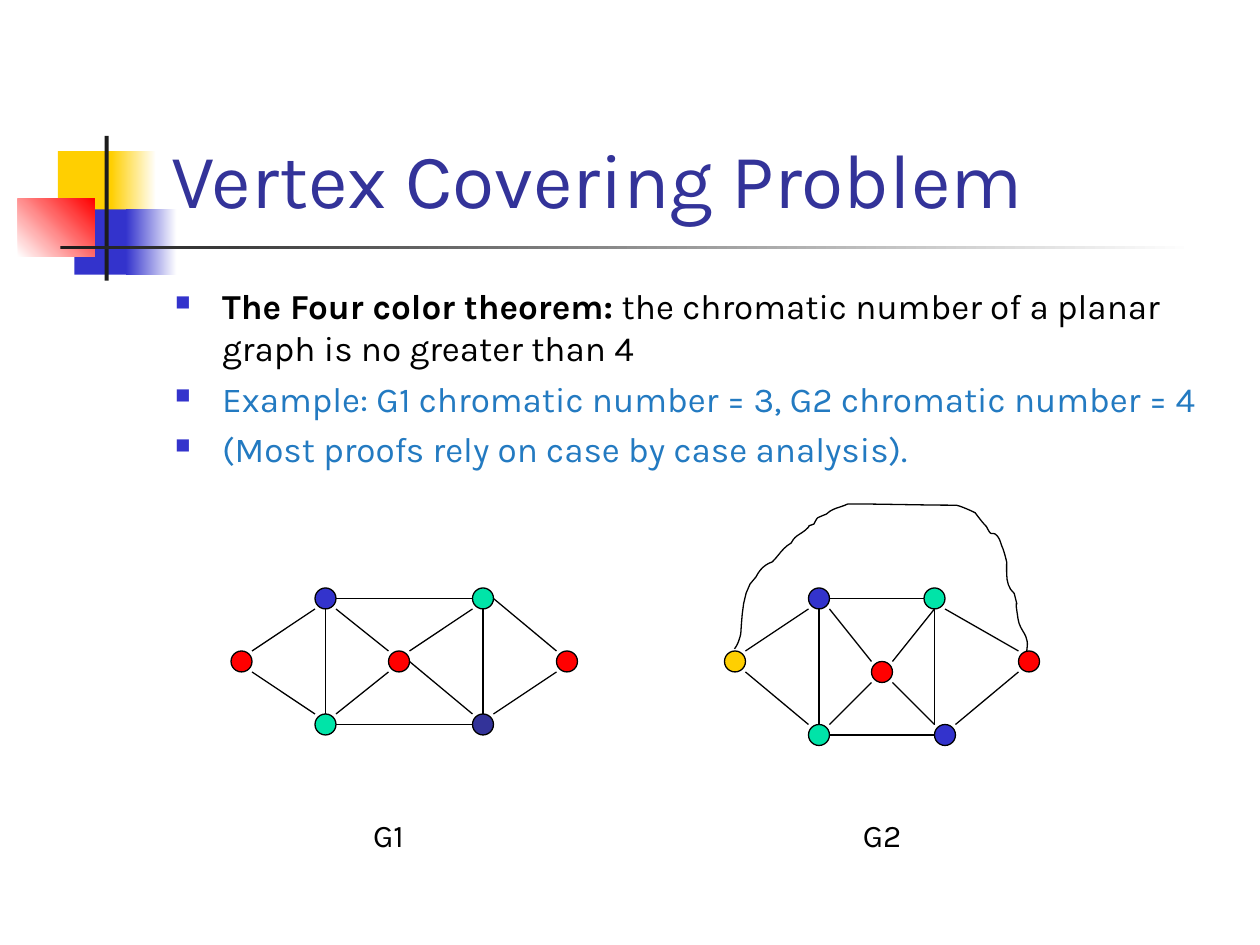
import pptx
import pptx.util
import pptx.dml.color
import pptx.enum.shapes
import pptx.enum.text
import pptx.oxml.ns
from lxml import etree

Cm, Pt = pptx.util.Cm, pptx.util.Pt
SHAPE = pptx.enum.shapes.MSO_SHAPE
ANCHOR = pptx.enum.text.MSO_ANCHOR
ALIGN = pptx.enum.text.PP_ALIGN

# ---- Content ----
FONT = "Karla"
COLORS = {"yellow": "FFCF01", "blue": "3333CC", "navy": "333399", "red": "FF0000",
          "green": "00E4A8", "ink": "1C1C1C", "black": "000000", "white": "FFFFFF",
          "sky": "237AC1"}

TITLE = "Vertex Covering Problem"
BULLETS = [
    [("The Four color theorem:", "black", True),
     (" the chromatic number of a planar graph is no greater than 4", "black", False)],
    [("Example: G1 chromatic number = 3, G2 chromatic number = 4", "sky", False)],
    [("(Most proofs rely on case by case analysis).", "sky", False)],
]

# Left, top, width, height in cm; colour(s); gradient angle
ORNAMENTS = [
    ((1.17, 3.05, 1.22, 1.32), ["yellow"], 0),
    ((2.24, 3.05, 0.91, 1.32), ["yellow", "white"], 0),
    ((1.5, 4.22, 1.17, 1.32), ["blue"], 0),
    ((2.54, 4.22, 1.02, 1.32), ["blue", "white"], 0),
    ((0.36, 4.01, 1.55, 1.17), ["white", "red"], 45),
    ((2.11, 2.74, 0.08, 2.92), ["ink"], 0),
    ((1.22, 4.95, 22.86, 0.08), ["ink", "white"], 0),
]

# Nodes: column, row and colour on a grid; edges: node and side at each end
GRID = 2.54 / 12
NODE = 2
SIDES = {"nw": (0, 0), "n": (1, 0), "ne": (2, 0), "w": (0, 1), "e": (2, 1),
         "sw": (0, 2), "s": (1, 2), "se": (2, 2)}
SHARED_EDGES = ["a.se m.nw", "c.ne m.sw", "a.s c.n", "a.e b.w", "c.e d.w",
                "l.ne a.sw", "l.se c.nw", "d.ne r.sw"]
GRAPHS = [
    {"label": "G1", "label_col": 35,
     "nodes": {"a": (30, 56, "blue"), "b": (45, 56, "green"), "c": (30, 68, "green"),
               "d": (45, 68, "navy"), "l": (22, 62, "red"), "r": (53, 62, "red"),
               "m": (37, 62, "red")},
     "edges": ["m.ne b.sw", "m.e d.nw", "b.s d.n", "b.e r.nw"]},
    {"label": "G2", "label_col": 82,
     "nodes": {"a": (77, 56, "blue"), "b": (88, 56, "green"), "c": (77, 69, "green"),
               "d": (89, 69, "blue"), "l": (69, 62, "yellow"), "r": (97, 62, "red"),
               "m": (83, 63, "red")},
     "edges": ["m.ne b.s", "m.se d.nw", "b.s d.nw", "b.se r.nw"]},
]

# Hand-drawn outer edge of G2 in inches: start, then two controls and an end per curve
ARC = [
    (5.83, 5.15),
    (5.86, 5.11), (5.87, 5.07), (5.88, 5.03), (5.89, 4.9), (5.89, 4.67), (6, 4.58),
    (6.03, 4.52), (6.07, 4.48), (6.13, 4.46), (6.19, 4.4), (6.21, 4.35), (6.28, 4.31),
    (6.31, 4.25), (6.34, 4.25), (6.39, 4.21), (6.46, 4.15), (6.38, 4.19), (6.46, 4.16),
    (6.47, 4.14), (6.48, 4.12), (6.49, 4.11), (6.51, 4.1), (6.56, 4.08), (6.56, 4.08),
    (6.61, 4.03), (6.67, 4.03), (6.73, 4), (7.01, 4), (7.3, 4.01), (7.59, 4.01),
    (7.64, 4.02), (7.74, 4.07), (7.74, 4.07), (7.77, 4.11), (7.8, 4.15), (7.83, 4.18),
    (7.84, 4.2), (7.85, 4.22), (7.86, 4.23), (7.87, 4.24), (7.89, 4.23), (7.9, 4.24),
    (7.93, 4.26), (7.94, 4.3), (7.95, 4.33), (7.97, 4.37), (7.99, 4.46), (7.99, 4.46),
    (7.99, 4.56), (7.98, 4.65), (8.05, 4.71), (8.1, 4.91), (8.04, 4.66), (8.08, 4.91),
    (8.09, 4.99), (8.14, 5.02), (8.15, 5.08), (8.16, 5.11), (8.15, 5.14), (8.15, 5.17),
]
ARC_STEPS = 6


# ---- Helpers ----
def rgb(name):
    return pptx.dml.color.RGBColor.from_string(COLORS[name])


def set_line(s, color="black"):
    s.line.color.rgb = rgb(color)
    s.line.width = Pt(0.75)


def add_shape(kind, box, colors, line=None, angle=0):
    s = slide.shapes.add_shape(kind, *[Cm(v) for v in box])
    s.shadow.inherit = False
    if len(colors) == 1:
        s.fill.solid()
        s.fill.fore_color.rgb = rgb(colors[0])
    else:
        s.fill.gradient()
        s.fill.gradient_angle = angle
        for stop, color in zip(s.fill.gradient_stops, colors):
            stop.color.rgb = rgb(color)
    if line:
        set_line(s, line)
    else:
        s.line.fill.background()
    return s


def add_run(p, text, size, color, bold=False):
    r = p.add_run()
    r.text = text
    for key, value in {"name": FONT, "size": Pt(size), "bold": bold}.items():
        setattr(r.font, key, value)
    r.font.color.rgb = rgb(color)


def add_text_box(box, anchor):
    tf = slide.shapes.add_textbox(*[Cm(v) for v in box]).text_frame
    for key, value in {"word_wrap": True, "vertical_anchor": anchor}.items():
        setattr(tf, key, value)
    return tf


def add_bullet(p):
    pPr = p._p.get_or_add_pPr()
    pPr.set("marL", str(Cm(0.95)))
    pPr.set("indent", str(Cm(-0.95)))
    qn = pptx.oxml.ns.qn
    color = etree.SubElement(pPr, qn("a:buClr"))
    etree.SubElement(color, qn("a:srgbClr"), val=COLORS["blue"])
    etree.SubElement(pPr, qn("a:buSzPct"), val="60000")
    etree.SubElement(pPr, qn("a:buChar"), char="■")


def edge_end(nodes, end):
    name, side = end.split(".")
    return [Cm((start + offset) * GRID) for start, offset in zip(nodes[name], SIDES[side])]


def curve_point(points, t):
    weights = [(1 - t) ** 3, 3 * t * (1 - t) ** 2, 3 * t * t * (1 - t), t ** 3]
    return tuple(Cm(2.54 * sum(w * v for w, v in zip(weights, axis))) for axis in zip(*points))


prs = pptx.Presentation()
prs.slide_width, prs.slide_height = Cm(25.4), Cm(19.05)
slide = prs.slides.add_slide(prs.slide_layouts[6])

# ---- Ornament and rule ----
for box, colors, angle in ORNAMENTS:
    add_shape(SHAPE.RECTANGLE, box, colors, angle=angle)

# ---- Title and bullets ----
tf = add_text_box((3.2, 0.58, 21.64, 4.06), ANCHOR.BOTTOM)
add_run(tf.paragraphs[0], TITLE, 44, "navy")

tf = add_text_box((3.28, 5.61, 21.59, 11.43), ANCHOR.TOP)
for i, runs in enumerate(BULLETS):
    p = tf.add_paragraph() if i else tf.paragraphs[0]
    add_bullet(p)
    if i:
        p.space_before = Pt(5)
    for text, color, bold in runs:
        add_run(p, text, 20, color, bold)

# ---- Graphs ----
for graph in GRAPHS:
    nodes = graph["nodes"]
    for col, row, color in nodes.values():
        add_shape(SHAPE.OVAL, (col * GRID, row * GRID, NODE * GRID, NODE * GRID),
                  [color], "black")
    for edge in SHARED_EDGES + graph["edges"]:
        start, end = [edge_end(nodes, part) for part in edge.split()]
        s = slide.shapes.add_connector(pptx.enum.shapes.MSO_CONNECTOR.STRAIGHT, *start, *end)
        set_line(s)
        etree.SubElement(s._element.spPr, pptx.oxml.ns.qn("a:effectLst"))
    # Label under the graph
    s = add_shape(SHAPE.RECTANGLE, (graph["label_col"] * GRID, 78 * GRID, 4 * GRID, 3 * GRID),
                  ["white"], "white")
    tf = s.text_frame
    for key, value in {"word_wrap": False, "vertical_anchor": ANCHOR.MIDDLE}.items():
        setattr(tf, key, value)
    tf.paragraphs[0].alignment = ALIGN.CENTER
    add_run(tf.paragraphs[0], graph["label"], 18, "black")

# ---- Outer edge of G2 ----
points = [curve_point(ARC[i:i + 4], step / ARC_STEPS)
          for i in range(0, len(ARC) - 1, 3) for step in range(1, ARC_STEPS + 1)]
builder = slide.shapes.build_freeform(*[Cm(2.54 * v) for v in ARC[0]])
builder.add_line_segments(points, close=False)
s = builder.convert_to_shape()
s.shadow.inherit = False
s.fill.background()
set_line(s)

prs.save("out.pptx")
